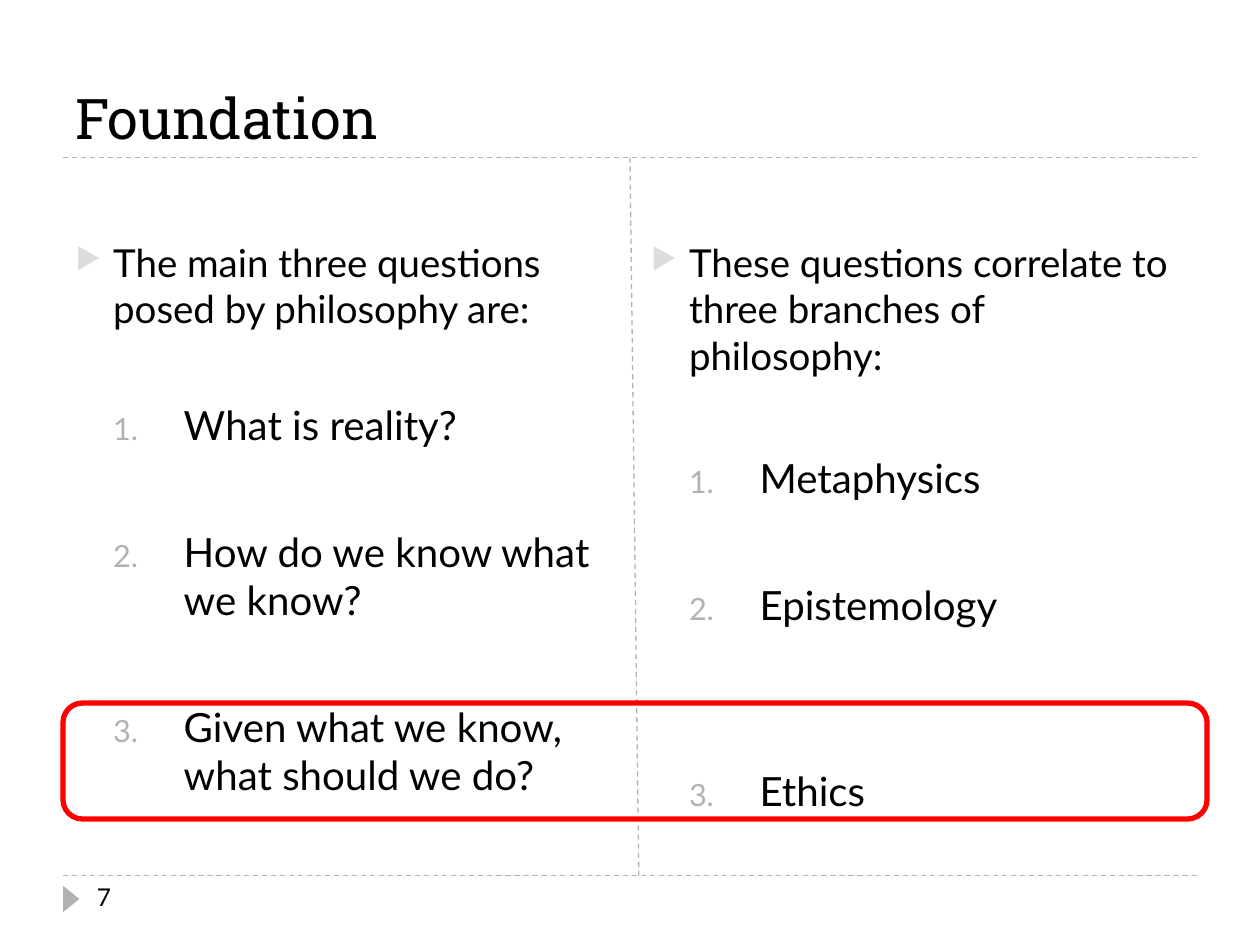
from lxml import etree
from pptx import Presentation
from pptx import util as u
from pptx.dml.color import RGBColor
from pptx.enum import dml, shapes, text
from pptx.oxml import ns

BLACK = RGBColor(0, 0, 0)
GRAY = RGBColor(0xB2, 0xB2, 0xB2)
PALE = RGBColor(0xDD, 0xDD, 0xDD)
RED = RGBColor(0xFF, 0, 0)


def put(item, values):
    for name, value in values.items():
        setattr(item, name, value)


class Deck:
    head = "Roboto Slab"
    body = "Lato"

    def __init__(self):
        self.file = Presentation()
        put(self.file, {"slide_width": u.Inches(10), "slide_height": u.Inches(7.5)})
        self.slide = self.file.slides.add_slide(self.file.slide_layouts[5])

    def place(self, item, box):
        names = ("left", "top", "width", "height")
        put(item, dict(zip(names, map(u.Inches, box))))

    def words(self, para, words, size, face):
        run = para.add_run()
        run.text = words
        put(run.font, {"size": u.Pt(size), "name": face})
        run.font.color.rgb = BLACK

    def title(self, words, box):
        item = self.slide.shapes.title
        self.place(item, box)
        put(item.text_frame, {
            "vertical_anchor": text.MSO_ANCHOR.BOTTOM,
            "auto_size": text.MSO_AUTO_SIZE.NONE,
        })
        para = item.text_frame.paragraphs[0]
        para.alignment = text.PP_ALIGN.LEFT
        self.words(para, words, 32, self.head)

    def box(self, box):
        item = self.slide.shapes.add_textbox(*map(u.Inches, box))
        item.text_frame.word_wrap = True
        return item.text_frame

    def label(self, words, size, box):
        self.words(self.box(box).paragraphs[0], words, size, self.body)

    def bullet(self, para, left, hang, color, kind, **attrs):
        props = para._p.get_or_add_pPr()
        props.set("marL", str(u.Inches(left)))
        props.set("indent", str(-u.Inches(hang)))
        tint = etree.SubElement(props, ns.qn("a:buClr"))
        etree.SubElement(tint, ns.qn("a:srgbClr"), val=str(color))
        etree.SubElement(props, ns.qn("a:buSzPct"), val="76000")
        etree.SubElement(props, ns.qn(kind), **attrs)

    def column(self, intro, items, box):
        frame = self.box(box)
        para = frame.paragraphs[0]
        self.words(para, intro, 22, self.body)
        self.bullet(para, 0.3, 0.3, PALE, "a:buChar", char="\u25b6")
        for words, gap in items:
            para = frame.add_paragraph()
            para.space_before = u.Pt(gap)
            self.words(para, words, 23, self.body)
            self.bullet(para, 0.86, 0.56, GRAY, "a:buAutoNum", type="arabicPeriod")

    def rule(self, *ends):
        line = self.slide.shapes.add_connector(
            shapes.MSO_CONNECTOR.STRAIGHT, *map(u.Inches, ends))
        put(line.line, {"width": u.Pt(0.75), "dash_style": dml.MSO_LINE.DASH})
        line.line.color.rgb = GRAY
        etree.SubElement(line._element.spPr, ns.qn("a:effectLst"))

    def shape(self, kind, box, fill=None, edge=None, turn=0):
        item = self.slide.shapes.add_shape(kind, *map(u.Inches, box))
        item.rotation = turn
        item.shadow.inherit = False
        if fill is None:
            item.fill.background()
        else:
            item.fill.solid()
            item.fill.fore_color.rgb = fill
        if edge is None:
            item.line.fill.background()
        else:
            item.line.color.rgb = edge
            item.line.width = u.Pt(3)


deck = Deck()
for y in (6.95, 1.25):
    deck.rule(0.5, y, 9.5, y)
deck.shape(shapes.MSO_SHAPE.ISOSCELES_TRIANGLE, (0.46, 7.07, 0.21, 0.13),
           fill=GRAY, turn=90)
deck.title("Foundation", (0.5, 0.25, 9, 1))
deck.label("7", 14, (0.67, 6.95, 2.17, 0.4))

columns = (
    (0.5, "The main three questions posed by philosophy are:", (
        ("What is reality?", 39),
        ("How do we know what we know?", 45),
        ("Given what we know, what should we do?", 45),
    )),
    (5.07, "These questions correlate to three branches of philosophy:", (
        ("Metaphysics", 43),
        ("Epistemology", 45),
        ("Ethics", 79),
    )),
)
for left, intro, items in columns:
    deck.column(intro, items, (left, 1.85, 4.42, 4.88))

deck.rule(5, 1.25, 5.07, 6.95)
deck.shape(shapes.MSO_SHAPE.ROUNDED_RECTANGLE, (0.5, 5.58, 9.08, 0.92), edge=RED)
deck.file.save("out.pptx")
